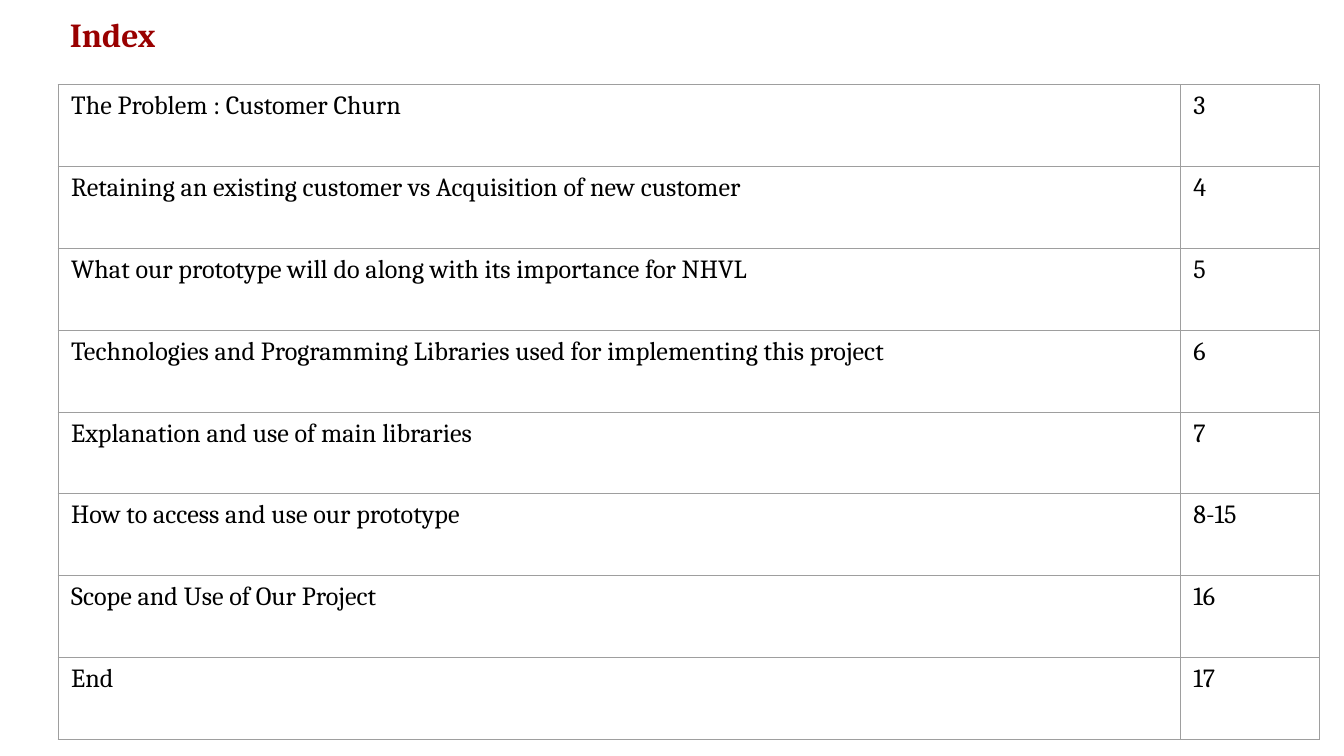
import pptx
import pptx.dml.color
import pptx.enum.text
import pptx.oxml
import pptx.oxml.ns
import pptx.util

Inches = pptx.util.Inches
Pt = pptx.util.Pt

TOPICS = [
    ("The Problem : Customer Churn", "3"),
    ("Retaining an existing customer vs Acquisition of new customer", "4"),
    ("What our prototype will do along with its importance for NHVL", "5"),
    ("Technologies and Programming Libraries used for implementing this project", "6"),
    ("Explanation and use of main libraries", "7"),
    ("How to access and use our prototype", "8-15"),
    ("Scope and Use of Our Project", "16"),
    ("End", "17"),
]


def color(code):
    return pptx.dml.color.RGBColor.from_string(code)


class Page:
    font = "Cambria"
    ink = "000000"
    accent = "990000"
    rule = "9E9E9E"

    def __init__(self, deck):
        self.slide = deck.slides.add_slide(deck.slide_layouts[5])

    def style(self, para, size, code, bold=False):
        para.alignment = pptx.enum.text.PP_ALIGN.LEFT
        for run in para.runs:
            run.font.name = self.font
            run.font.size = Pt(size)
            run.font.bold = bold
            run.font.color.rgb = color(code)

    def title(self, text, left, top, width, height):
        box = self.slide.shapes.title
        box.left, box.top = Inches(left), Inches(top)
        box.width, box.height = Inches(width), Inches(height)
        frame = box.text_frame
        frame.text = text
        frame.word_wrap = True
        frame.vertical_anchor = pptx.enum.text.MSO_ANCHOR.TOP
        frame.margin_left = frame.margin_right = Inches(0.1)
        frame.margin_top = frame.margin_bottom = Inches(0.1)
        self.style(frame.paragraphs[0], 18, self.accent, bold=True)

    def border(self, cell):
        props = cell._tc.get_or_add_tcPr()
        for place, side in enumerate(("lnL", "lnR", "lnT", "lnB")):
            line = pptx.oxml.parse_xml(
                f'<a:{side} {pptx.oxml.ns.nsdecls("a")} w="{Pt(0.34)}">'
                f'<a:solidFill><a:srgbClr val="{self.rule}"/></a:solidFill></a:{side}>'
            )
            props.insert(place, line)

    def table(self, rows, left, top, widths, height):
        """Draw a plain ruled table with rows of equal height."""
        table = self.slide.shapes.add_table(
            len(rows), len(widths), Inches(left), Inches(top),
            Inches(sum(widths)), Inches(height),
        ).table
        table.first_row = table.horz_banding = False
        for col, width in zip(table.columns, widths):
            col.width = Inches(width)
        for r, row in enumerate(rows):
            for c, text in enumerate(row):
                cell = table.cell(r, c)
                cell.text = text
                cell.margin_top = cell.margin_bottom = Inches(0.05)
                cell.fill.background()
                self.style(cell.text_frame.paragraphs[0], 14, self.ink)
                self.border(cell)


def main():
    deck = pptx.Presentation()
    deck.slide_width = Inches(10)
    deck.slide_height = deck.slide_width * 9 // 16
    page = Page(deck)
    page.title("Index", 0.42, 0, 9.11, 0.63)
    page.table(TOPICS, 0.43, 0.63, (8.35, 1.04), 4.87)
    deck.save("out.pptx")


if __name__ == "__main__":
    main()
